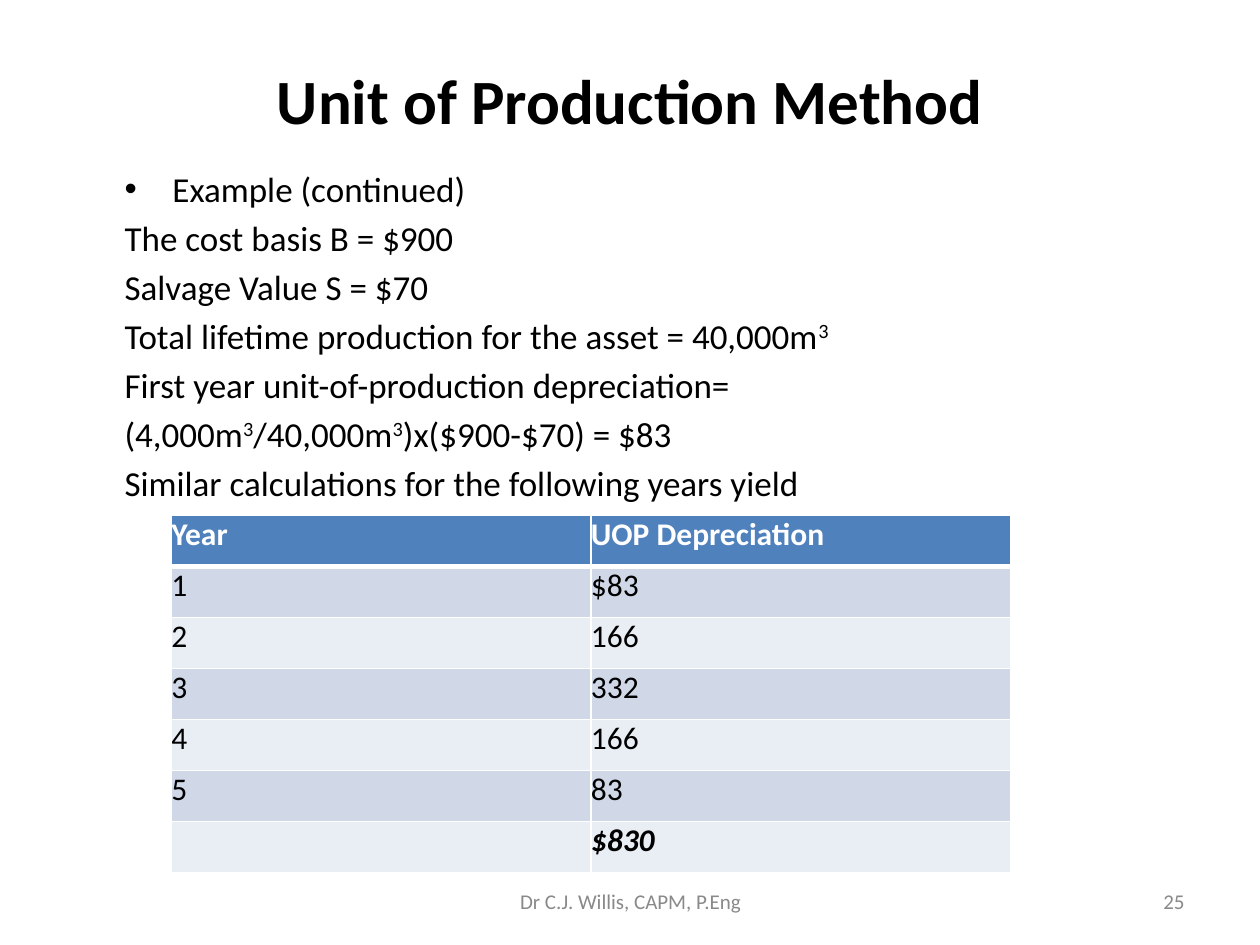
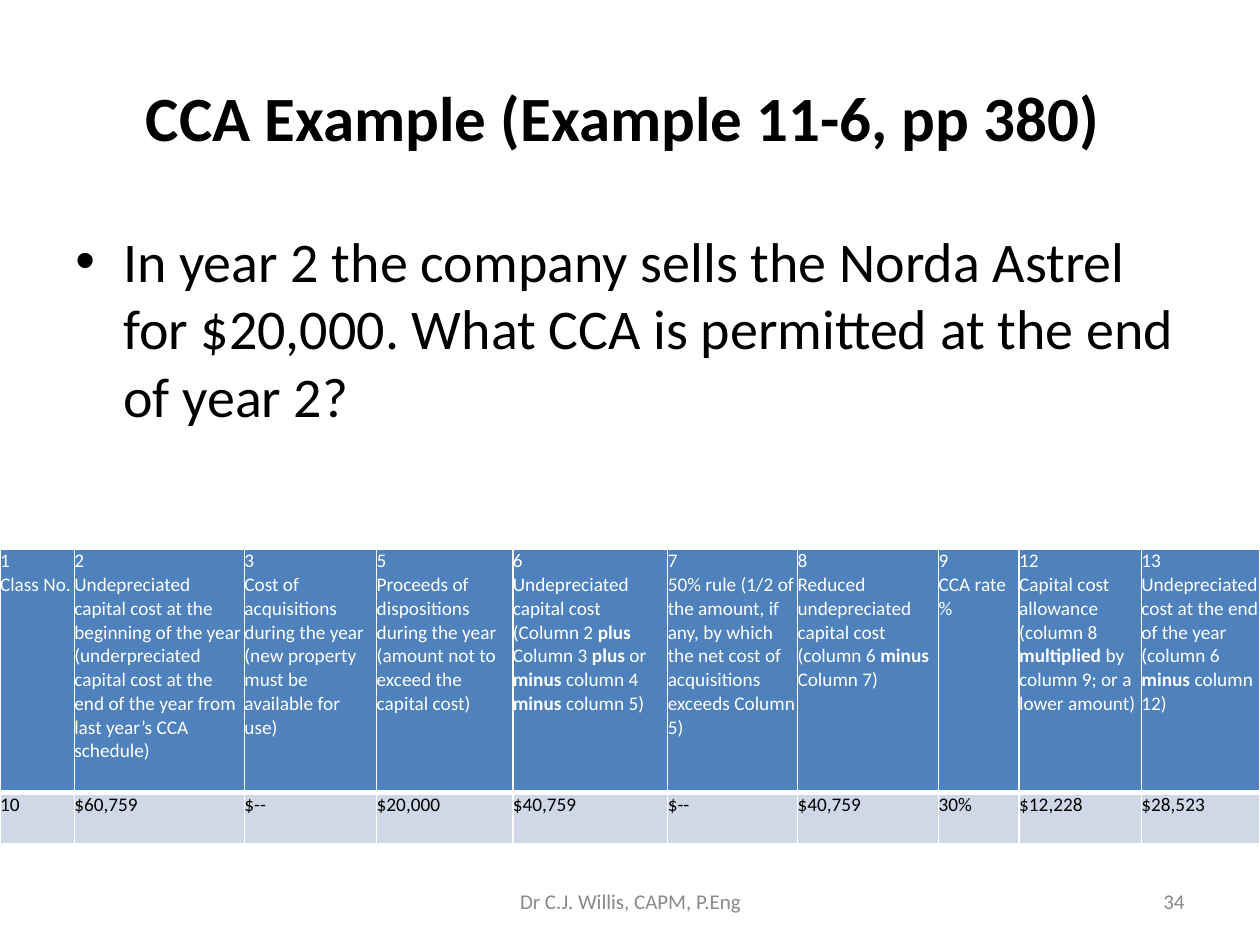
from lxml import etree
from pptx import Presentation
from pptx.dml.color import RGBColor
from pptx.enum import text
from pptx.oxml.ns import qn
from pptx.util import Inches, Pt

COLS, ROWS = 100, 75
SLIDE_W, SLIDE_H = Inches(10), Inches(7.5)
BLACK, WHITE, GREY = "000000", "FFFFFF", "898989"
HEADER, BANDS = "4F81BD", ("D0D8E8", "E9EDF4")
LEFT, CENTER, RIGHT = text.PP_ALIGN.LEFT, text.PP_ALIGN.CENTER, text.PP_ALIGN.RIGHT
TOP, MIDDLE = text.MSO_ANCHOR.TOP, text.MSO_ANCHOR.MIDDLE
TITLE = {"size": Pt(36), "bold": True}
FOOTER = {"size": Pt(12)}
AUTHOR = "Dr C.J. Willis, CAPM, P.Eng"

PRODUCTION_STEPS = [
    "Example (continued)",
    "The cost basis B = $900",
    "Salvage Value S = $70",
    "Total lifetime production for the asset = 40,000m^3^",
    "First year unit-of-production depreciation=",
    "(4,000m^3^/40,000m^3^)x($900-$70) = $83",
    "Similar calculations for the following years yield",
]
UOP_ROWS = [
    ["*Year*", "*UOP Depreciation*"],
    ["1", "$83"], ["2", "166"], ["3", "332"], ["4", "166"], ["5", "83"],
    ["", "*$830*"],
]
CCA_COLUMNS = [
    (5.9, "1\nClass No.", "10"),
    (13.5, "2\nUndepreciated capital cost at the beginning of the year (underpreciated "
           "capital cost at the end of the year from last year’s CCA schedule)", "$60,759"),
    (10.5, "3\nCost of acquisitions during the year (new property must be available for use)", "$--"),
    (10.8, "5\nProceeds of dispositions during the year (amount not to exceed the capital cost)", "$20,000"),
    (12.3, "6\nUndepreciated capital cost (Column 2 *plus* Column 3 *plus* or *minus* "
           "column 4 *minus* column 5)", "$40,759"),
    (10.3, "7\n50% rule (1/2 of the amount, if any, by which the net cost of acquisitions "
           "exceeds Column 5)", "$--"),
    (11.2, "8\nReduced undepreciated capital cost (column 6 *minus* Column 7)", "$40,759"),
    (6.4, "9\nCCA rate %", "30%"),
    (9.7, "12\nCapital cost allowance (column 8 *multiplied* by column 9; or a lower amount)", "$12,228"),
    (9.4, "13\nUndepreciated cost at the end of the year (column 6 *minus* column 12)", "$28,523"),
]


def rgb(value):
    return RGBColor.from_string(value)


def x(cols):
    return round(SLIDE_W * cols / COLS)


def y(rows):
    return round(SLIDE_H * rows / ROWS)


def place(col, row, cols, rows):
    return x(col), y(row), x(cols), y(rows)


def apply(target, values):
    for name, value in values.items():
        setattr(target, name, value)


def add_runs(p, marked, color=BLACK, **style):
    for i, part in enumerate(marked.split("*")):
        for j, piece in enumerate(part.split("^")):
            if not piece:
                continue
            r = p.add_run()
            r.text = piece
            apply(r.font, {"name": "Calibri", "bold": i % 2 == 1, **style})
            r.font.color.rgb = rgb(color)
            if j % 2:
                r._r.get_or_add_rPr().set("baseline", "30000")


def add_text(s, area, line, align, color=BLACK, **style):
    tf = s.shapes.add_textbox(*place(*area)).text_frame
    apply(tf, {"word_wrap": True, "vertical_anchor": MIDDLE})
    p = tf.paragraphs[0]
    p.alignment = align
    add_runs(p, line, color, **style)


def add_body(s, area, lines, size):
    tf = s.shapes.add_textbox(*place(*area)).text_frame
    apply(tf, {"word_wrap": True, "vertical_anchor": TOP})
    for i, line in enumerate(lines):
        p = tf.add_paragraph() if i else tf.paragraphs[0]
        pPr = p._p.get_or_add_pPr()
        pPr.set("marL", str(Inches(0.38)))
        pPr.set("indent", str(-Inches(0.38)))
        if i:
            p.space_before = Pt(4)
        else:
            etree.SubElement(pPr, qn("a:buFont"), typeface="Arial")
            etree.SubElement(pPr, qn("a:buChar"), char="•")
        add_runs(p, line, size=size)


def add_borders(cell, widths):
    tcPr = cell._tc.get_or_add_tcPr()
    for side, width in widths.items():
        ln = etree.SubElement(tcPr, qn(f"a:ln{side}"), w=str(Pt(width)))
        fill = etree.SubElement(ln, qn("a:solidFill"))
        etree.SubElement(fill, qn("a:srgbClr"), val=WHITE)


def add_table(s, col, row, widths, heights, rows, size):
    frame = s.shapes.add_table(len(rows), len(widths), *place(col, row, sum(widths), sum(heights)))
    table = frame.table
    for column, width in zip(table.columns, widths):
        column.width = x(width)
    for i, (line, height) in enumerate(zip(rows, heights)):
        table.rows[i].height = y(height)
        for j, content in enumerate(line):
            cell = table.cell(i, j)
            apply(cell, dict.fromkeys(("margin_left", "margin_right", "margin_top", "margin_bottom"), 0))
            add_borders(cell, {"L": 1, "R": 1, "T": 3 if i == 1 else 1, "B": 1 if i else 3})
            cell.fill.solid()
            cell.fill.fore_color.rgb = rgb(BANDS[(i - 1) % 2] if i else HEADER)
            for k, paragraph in enumerate(content.split("\n")):
                p = cell.text_frame.add_paragraph() if k else cell.text_frame.paragraphs[0]
                add_runs(p, paragraph, BLACK if i else WHITE, size=size)
    return table


def add_slide(prs, title, title_rows, number):
    s = prs.slides.add_slide(prs.slide_layouts[6])
    add_text(s, (5, 3, 90, title_rows), title, CENTER, **TITLE)
    add_text(s, (71.7, 69.5, 23.3, 4), number, RIGHT, GREY, **FOOTER)
    add_text(s, (34.2, 69.5, 31.7, 4), AUTHOR, CENTER, GREY, **FOOTER)
    return s


def main():
    prs = Presentation()
    apply(prs, {"slide_width": SLIDE_W, "slide_height": SLIDE_H})

    s = add_slide(prs, "Unit of Production Method", 9.8, "25")
    add_body(s, (8.9, 12.8, 86.1, 59.3), PRODUCTION_STEPS, Pt(20))
    table = add_table(s, 13.6, 40.9, [33.3] * 2, [4.05] * len(UOP_ROWS), UOP_ROWS, Pt(18))
    total = table.cell(len(UOP_ROWS) - 1, 1)
    total.text_frame.paragraphs[0].runs[0].font.italic = True

    s = add_slide(prs, "CCA Example (Example 11-6, pp 380) ", 12.5, "34")
    question = ("In year 2 the company sells the Norda Astrel for $20,000. "
                "What CCA is permitted at the end of year 2?")
    add_body(s, (5, 17.5, 90, 49.5), [question], Pt(32))
    widths, *rows = zip(*CCA_COLUMNS)
    add_table(s, 0, 43.6, widths, [19.3, 4.1], rows, Pt(11))

    prs.save("out.pptx")


if __name__ == "__main__":
    main()
